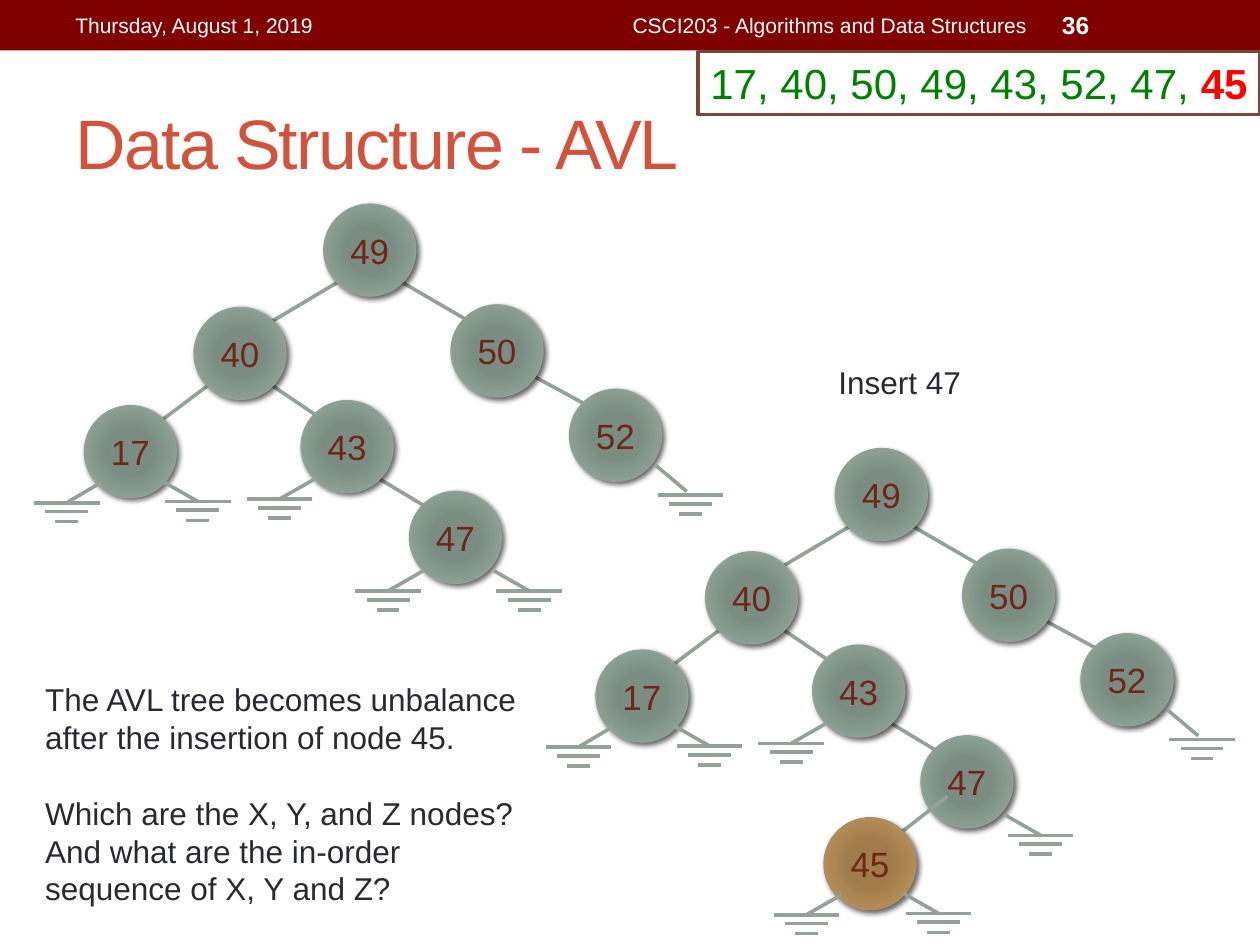
from lxml import etree
from pptx import Presentation
from pptx import util as u
from pptx.dml.color import RGBColor
from pptx.enum import shapes, text
from pptx.oxml import ns

PX = 9144  # 100 px to the inch
FONT = "Arial"
C = {"bar": "800000", "title": "D2533C", "white": "FFFFFF", "body": "292934",
     "frame": "79463D", "done": "008000", "new": "FF0000", "label": "6E2619",
     "branch": "93A299", "inserted": "AD8F67"}
GREEN = ("7B8E82", "7B8D83", "8A9E92", "93A299")
BROWN = ("A37D49", "A07C4C", "B38B55", "AD8F67")
STOPS = (0, 34, 70, 100)

HEADER = [  # text, box, size, bold, alignment
    ("Thursday, August 1, 2019", (50, 2, 317, 36), 12, False, "LEFT"),
    ("CSCI203 - Algorithms and Data Structures", (375, 2, 450, 36), 12, False, "RIGHT"),
    ("36", (833, 2, 117, 36), 14, True, "LEFT"),
]
QUESTION = ["The AVL tree becomes unbalance after the insertion of node 45.",
            "Which are the X, Y, and Z nodes? And what are the in-order sequence of X, Y and Z?"]

# Node positions are the top left corner of each circle.
DIAMETER = 73
TREE = {17: (67, 322), 43: (239, 318), 52: (452, 309), 50: (358, 242),
        49: (257, 162), 40: (154, 244), 47: (325, 390)}
SHIFT = (406, 194)
INSERTED = {45: (654, 649)}

# Parent, child, and where the branch leaves the parent's corner.
LEFT, RIGHT = (11, 62), (62, 62)
EDGES = [(49, 40, LEFT), (49, 50, RIGHT), (40, 17, LEFT), (40, 43, RIGHT),
         (50, 52, (57, 52)), (43, 47, RIGHT)]
INSERTED_EDGES = [(47, 45, (21, 48))]

# Node, stem start, stem end, and gap between stem and bars.
GROUNDS = [(17, (62, 60), (90, 76), (0, 0)), (17, (13, 61), (-14, 77), (0, 0)),
           (43, (11, 62), (-17, 78), (0, 0)), (52, (68, 60), (93, 81), (3, 3)),
           (47, (67, 63), (95, 79), (0, 0))]
LEAF_47 = [(47, (11, 63), (-17, 79), (0, 0))]
INSERTED_GROUNDS = [(45, (63, 60), (91, 76), (0, 0)), (45, (14, 61), (-14, 77), (0, 0))]
BARS = [(26, 0), (17, 7), (9, 15)]  # half width, drop

prs = Presentation()
prs.slide_width, prs.slide_height = 1000 * PX, 750 * PX
s = prs.slides.add_slide(prs.slide_layouts[5])


def emu(*lengths):
    return [n * PX for n in lengths]


def color(name):
    return RGBColor.from_string(C[name])


def add(a, b):
    return a[0] + b[0], a[1] + b[1]


def style(p, size, name, align="LEFT", bold=False):
    p.alignment = getattr(text.PP_ALIGN, align)
    f = p.font
    f.name, f.size, f.bold, f.color.rgb = FONT, u.Pt(size), bold, color(name)


def textbox(lines, box, size, name, align="LEFT", bold=False, middle=False, gap=0):
    tf = s.shapes.add_textbox(*emu(*box)).text_frame
    tf.word_wrap = True
    tf.vertical_anchor = text.MSO_ANCHOR.MIDDLE if middle else text.MSO_ANCHOR.TOP
    for i, line in enumerate(lines):
        p = tf.paragraphs[0] if i == 0 else tf.add_paragraph()
        p.text = line
        style(p, size, name, align, bold)
        if i:
            p.space_before = u.Pt(gap)


def shape(kind, box):
    sp = s.shapes.add_shape(kind, *emu(*box))
    sp.shadow.inherit = False
    return sp


def line(start, end):
    c = s.shapes.add_connector(shapes.MSO_CONNECTOR.STRAIGHT, *emu(*start, *end))
    c.line.color.rgb, c.line.width = color("branch"), u.Pt(2.08)
    etree.SubElement(c._element.spPr, ns.qn("a:effectLst"))


def node(key, at, shades, rim):
    sp = shape(shapes.MSO_SHAPE.OVAL, (*at, DIAMETER, DIAMETER))
    sp.line.color.rgb, sp.line.width = color(rim), u.Pt(0.75)
    sp.fill.gradient()
    spPr = sp._element.spPr
    stops = "".join(f'<a:gs pos="{pos * 1000}"><a:srgbClr val="{shade}"/></a:gs>'
                    for pos, shade in zip(STOPS, shades))
    xmlns = ns.nsdecls("a")
    spPr.replace(spPr.find(ns.qn("a:gradFill")), etree.fromstring(
        f'<a:gradFill {xmlns} rotWithShape="1"><a:gsLst>{stops}</a:gsLst><a:path path="circle">'
        '<a:fillToRect l="100000" t="100000" r="100000" b="100000"/></a:path></a:gradFill>'))
    spPr.find(ns.qn("a:effectLst")).append(etree.fromstring(
        f'<a:outerShdw {xmlns} blurRad="38100" dist="25400" dir="2700000" rotWithShape="0">'
        '<a:srgbClr val="000000"><a:alpha val="60000"/></a:srgbClr></a:outerShdw>'))
    tf = sp.text_frame
    tf.vertical_anchor = text.MSO_ANCHOR.MIDDLE
    tf.text = str(key)
    style(tf.paragraphs[0], 20, "label", "CENTER")


def draw_tree(nodes, edges, grounds, places, shades=GREEN, rim="branch"):
    """Draw branches, then nodes, then the ground symbols of empty children."""
    for parent, child, leave in edges:
        goes_left = places[child][0] < places[parent][0]
        line(add(places[parent], leave), add(places[child], (62 if goes_left else 11, 11)))
    for key in nodes:
        node(key, places[key], shades, rim)
    for key, start, end, gap in grounds:
        foot = add(places[key], end)
        line(add(places[key], start), foot)
        x, y = add(foot, gap)
        for half, drop in BARS:
            line((x - half, y + drop), (x + half, y + drop))


bar = shape(shapes.MSO_SHAPE.RECTANGLE, (0, 0, 1000, 40))
bar.fill.solid()
bar.fill.fore_color.rgb = color("bar")
bar.line.fill.background()
for label, box, size, bold, align in HEADER:
    textbox([label], box, size, "white", align, bold, middle=True)

title = s.shapes.title
title.left, title.top, title.width, title.height = emu(50, 58, 900, 108)
title.text_frame.text = "Data Structure - AVL"
title.text_frame.vertical_anchor = text.MSO_ANCHOR.MIDDLE
p = title.text_frame.paragraphs[0]
style(p, 40, "title")
p.runs[0].font._element.set("spc", "-100")

keys = shape(shapes.MSO_SHAPE.RECTANGLE, (554, 41, 446, 50))
keys.fill.solid()
keys.fill.fore_color.rgb = color("white")
keys.line.color.rgb, keys.line.width = color("frame"), u.Pt(2.08)
keys.text_frame.word_wrap = False
keys.text_frame.vertical_anchor = text.MSO_ANCHOR.TOP
p = keys.text_frame.paragraphs[0]
style(p, 24, "done")
p.add_run().text = "17, 40, 50, 49, 43, 52, 47, "
r = p.add_run()
r.text, r.font.bold, r.font.color.rgb = "45", True, color("new")

draw_tree(TREE, EDGES, GROUNDS + LEAF_47, TREE)
textbox(["Insert 47"], (629, 283, 170, 40), 18, "body", "CENTER")
after = {key: add(at, SHIFT) for key, at in TREE.items()} | INSERTED
draw_tree(TREE, EDGES, GROUNDS, after)
draw_tree(INSERTED, INSERTED_EDGES, INSERTED_GROUNDS, after, BROWN, "inserted")
textbox(QUESTION, (26, 535, 405, 192), 18, "body", gap=21.6)

prs.save("out.pptx")
